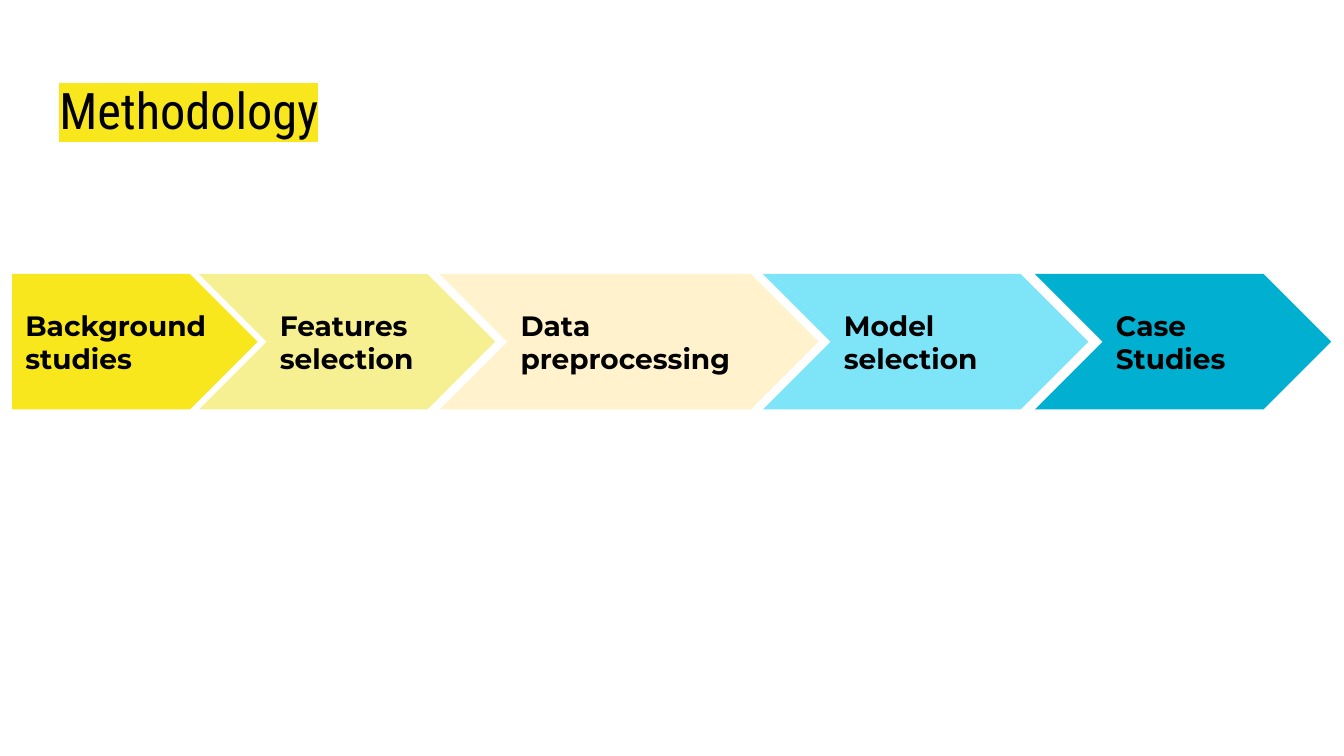
from dataclasses import dataclass

import lxml.etree
import pptx
import pptx.dml.color
import pptx.enum.shapes
import pptx.enum.text
import pptx.oxml.ns
import pptx.util
from pptx.util import Cm


@dataclass(frozen=True)
class Theme:
    ink: str = "000000"
    marker: str = "F8E71C"
    stage_fills: tuple = ("F8E71C", "F7F092", "FFF2CC", "7EE5F9", "01AFD1")
    title_font: str = "Roboto Condensed"
    stage_font: str = "Montserrat"
    title_size: float = 27
    stage_size: float = 15


THEME = Theme()
STAGES = [
    ("Background studies", 0, 4.64),
    ("Features selection", 3.53, 5.6),
    ("Data preprocessing", 8.08, 7.16),
    ("Model selection", 14.19, 6.15),
    ("Case Studies", 19.33, 5.6),
]


def rgb(value):
    return pptx.dml.color.RGBColor.from_string(value)


def write_text(frame, text, font_name, size, bold, anchor):
    frame.word_wrap = True
    frame.auto_size = pptx.enum.text.MSO_AUTO_SIZE.NONE
    frame.vertical_anchor = anchor
    frame.margin_left = frame.margin_top = frame.margin_bottom = Cm(0.25)
    frame.margin_right = Cm(0.15)
    paragraph = frame.paragraphs[0]
    paragraph.alignment = pptx.enum.text.PP_ALIGN.LEFT
    run = paragraph.add_run()
    run.text = text
    paragraph.font.name = font_name
    paragraph.font.size = pptx.util.Pt(size)
    paragraph.font.bold = bold
    paragraph.font.color.rgb = rgb(THEME.ink)
    return run


def highlight(run, color):
    qn = pptx.oxml.ns.qn
    properties = run.font._element
    marker = lxml.etree.SubElement(properties, qn("a:highlight"))
    lxml.etree.SubElement(marker, qn("a:srgbClr"), val=color)


def place_heading(slide, left, top, width, height):
    heading = slide.shapes.title
    heading.left, heading.top = Cm(left), Cm(top)
    heading.width, heading.height = Cm(width), Cm(height)
    run = write_text(heading.text_frame, "Methodology", THEME.title_font,
                     THEME.title_size, False, pptx.enum.text.MSO_ANCHOR.TOP)
    highlight(run, THEME.marker)


def place_process(slide, left, top, height):
    kinds = pptx.enum.shapes.MSO_SHAPE
    for index, (label, offset, width) in enumerate(STAGES):
        kind = kinds.CHEVRON if index else kinds.PENTAGON
        stage = slide.shapes.add_shape(
            kind, Cm(left + offset), Cm(top), Cm(width), Cm(height))
        stage.shadow.inherit = False
        stage.adjustments[0] = 0.5
        stage.fill.solid()
        stage.fill.fore_color.rgb = rgb(THEME.stage_fills[index])
        stage.line.fill.background()
        write_text(stage.text_frame, label, THEME.stage_font,
                   THEME.stage_size, True, pptx.enum.text.MSO_ANCHOR.MIDDLE)


def main():
    deck = pptx.Presentation()
    deck.slide_width, deck.slide_height = Cm(25.4), Cm(14.29)
    slide = deck.slides.add_slide(deck.slide_layouts.get_by_name("Title Only"))
    place_heading(slide, left=0.87, top=1.24, width=23.67, height=1.6)
    place_process(slide, left=0.23, top=5.18, height=2.56)
    deck.save("out.pptx")


if __name__ == "__main__":
    main()
